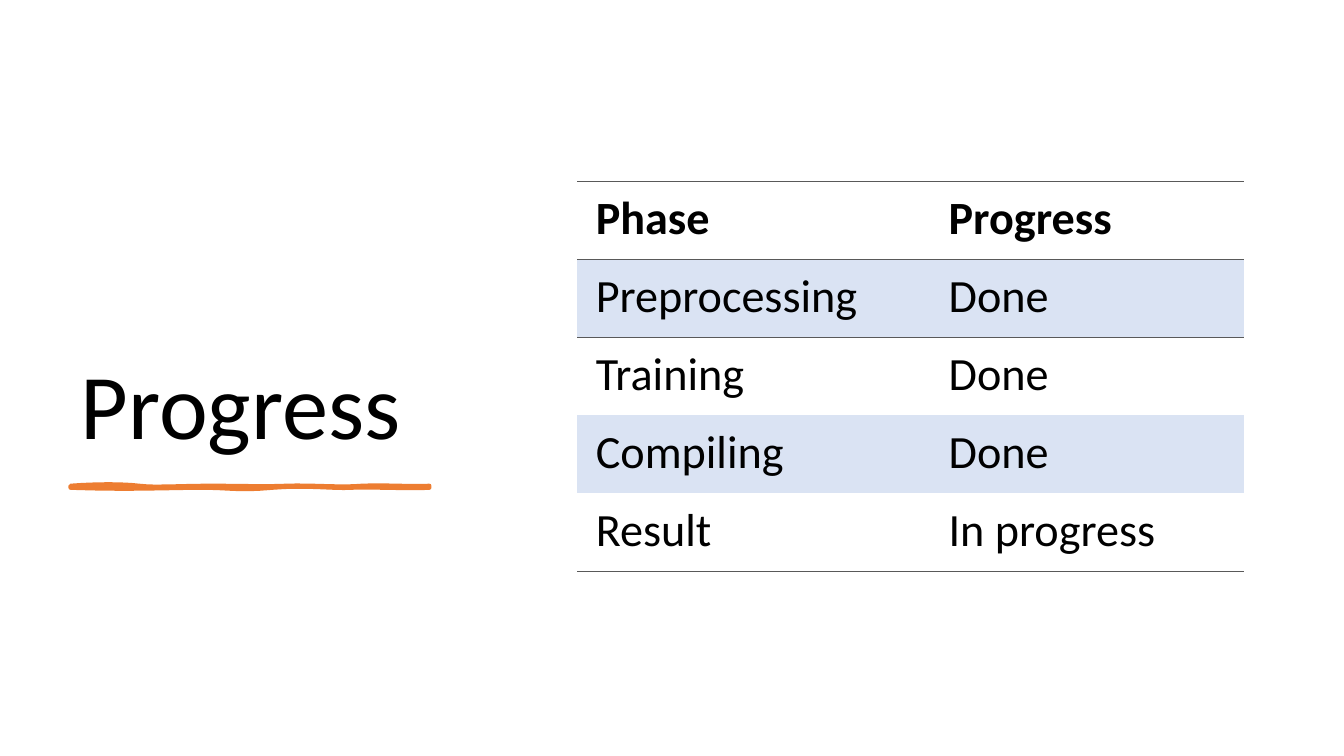
from pptx import Presentation
from pptx.dml.color import RGBColor
from pptx.enum.text import MSO_ANCHOR, PP_ALIGN
from pptx.oxml.ns import qn
from pptx.util import Pt
from lxml.etree import SubElement

FONT = "Calibri"
BLACK = RGBColor(0x00, 0x00, 0x00)
ORANGE = RGBColor(0xED, 0x7D, 0x31)
BAND = RGBColor(0xDA, 0xE3, 0xF3)
RULE = RGBColor(0x59, 0x59, 0x59)
PLAIN_TABLE_STYLE = "{2D5ABB26-0587-4C30-8999-92F81FD0307C}"

PHASES = [
    ("Phase", "Progress"),
    ("Preprocessing", "Done"),
    ("Training", "Done"),
    ("Compiling", "Done"),
    ("Result", "In progress"),
]

STROKE_TOP = [
    ((19.4, -1.4), (36.7, -1.4), (49, 0)),
    ((61.2, 1.4), (77, 0), (100, 0)),
    ((123, 0), (136.8, 0.7), (154, 0)),
    ((171.4, -0.7), (193.7, 1.4), (208, 0)),
    ((222.5, -0.7), (246.2, 0.7), (256.3, 0)),
]
STROKE_BOTTOM = [
    ((243.4, 2.2), (211.7, 0.7), (200.2, 1.4)),
    ((188.6, 2.2), (168.5, -0.7), (144, 1.4)),
    ((118.8, 3.6), (115.9, 1.4), (92.9, 1.4)),
    ((69.1, 1.4), (44.6, 2.9), (0, 1.4)),
]


def format_font(font, size, bold=False):
    font.name = FONT
    font.size = Pt(size)
    font.bold = bold
    font.color.rgb = BLACK


def add_title(slide, left, top, width, height):
    title = slide.shapes.title
    title.left, title.top = Pt(left), Pt(top)
    title.width, title.height = Pt(width), Pt(height)
    frame = title.text_frame
    frame.text = "Progress"
    frame.word_wrap = True
    frame.vertical_anchor = MSO_ANCHOR.BOTTOM
    paragraph = frame.paragraphs[0]
    paragraph.alignment = PP_ALIGN.LEFT
    paragraph.line_spacing = 0.9
    format_font(paragraph.font, 66)


def trace_curves(start, curves, steps=8):
    points = []
    for first, second, end in curves:
        for step in range(1, steps + 1):
            t = step / steps
            weights = ((1 - t) ** 3, 3 * t * (1 - t) ** 2, 3 * t * t * (1 - t), t ** 3)
            controls = (start, first, second, end)
            points.append(tuple(
                sum(weight * control[axis] for weight, control in zip(weights, controls))
                for axis in (0, 1)
            ))
        start = end
    return points


def add_underline(slide, left, top):
    corner = (256.3, 1.4)
    outline = trace_curves((0, 0), STROKE_TOP) + [corner] + trace_curves(corner, STROKE_BOTTOM)
    builder = slide.shapes.build_freeform(Pt(left), Pt(top))
    builder.add_line_segments([(Pt(left + x), Pt(top + y)) for x, y in outline], close=True)
    underline = builder.convert_to_shape()
    underline.shadow.inherit = False
    underline.fill.solid()
    underline.fill.fore_color.rgb = ORANGE
    underline.line.color.rgb = ORANGE
    underline.line.width = Pt(3)


def add_rules(cell, sides):
    properties = cell._tc.get_or_add_tcPr()
    for position, side in enumerate(sides):
        line = SubElement(properties, qn(f"a:{side}"), w=str(Pt(0.75)))
        fill = SubElement(line, qn("a:solidFill"))
        SubElement(fill, qn("a:srgbClr"), val=str(RULE))
        properties.insert(position, line)


def add_progress_table(slide, left, top, widths, row_height):
    row_count = len(PHASES)
    frame = slide.shapes.add_table(
        row_count, len(widths), Pt(left), Pt(top), Pt(sum(widths)), Pt(row_height * row_count))
    next(frame.element.iter(qn("a:tableStyleId"))).text = PLAIN_TABLE_STYLE
    table = frame.table
    for column, width in zip(table.columns, widths):
        column.width = Pt(width)
    for row_index, texts in enumerate(PHASES):
        table.rows[row_index].height = Pt(row_height)
        for column_index, text in enumerate(texts):
            cell = table.cell(row_index, column_index)
            cell.text = text
            cell.margin_left = cell.margin_right = Pt(13.2)
            cell.margin_top = cell.margin_bottom = Pt(6.6)
            format_font(cell.text_frame.paragraphs[0].font, 33, row_index == 0)
            if row_index % 2:
                cell.fill.solid()
                cell.fill.fore_color.rgb = BAND
            else:
                cell.fill.background()
            if row_index == 0:
                add_rules(cell, ["lnT", "lnB"])
            elif row_index == 1:
                add_rules(cell, ["lnT"])
            elif row_index == row_count - 1:
                add_rules(cell, ["lnB"])


def main():
    presentation = Presentation()
    presentation.slide_width, presentation.slide_height = Pt(960), Pt(540)
    slide = presentation.slides.add_slide(presentation.slide_layouts[5])
    add_title(slide, 50.4, 50.4, 281.5, 281.5)
    add_underline(slide, 50.4, 347)
    add_progress_table(slide, 412.4, 129.5, (252, 224.5), 55.7)
    presentation.save("out.pptx")


if __name__ == "__main__":
    main()
